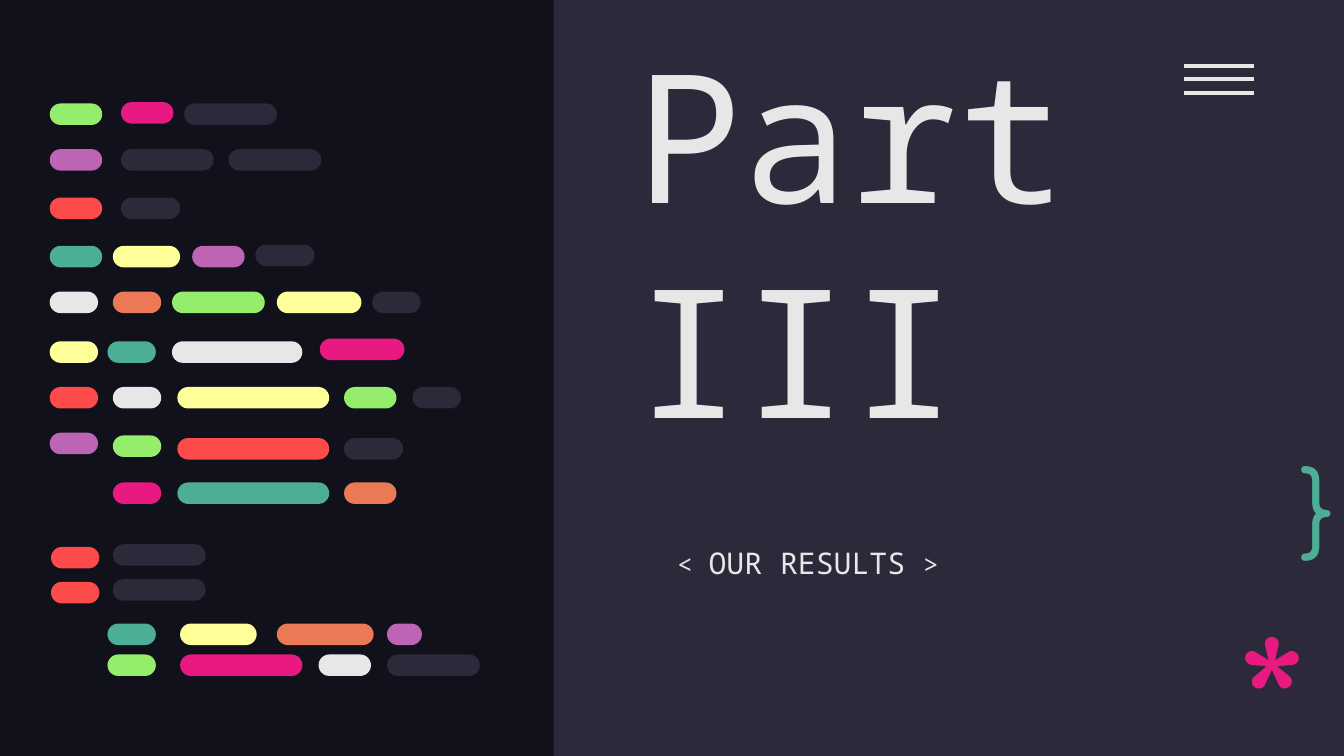
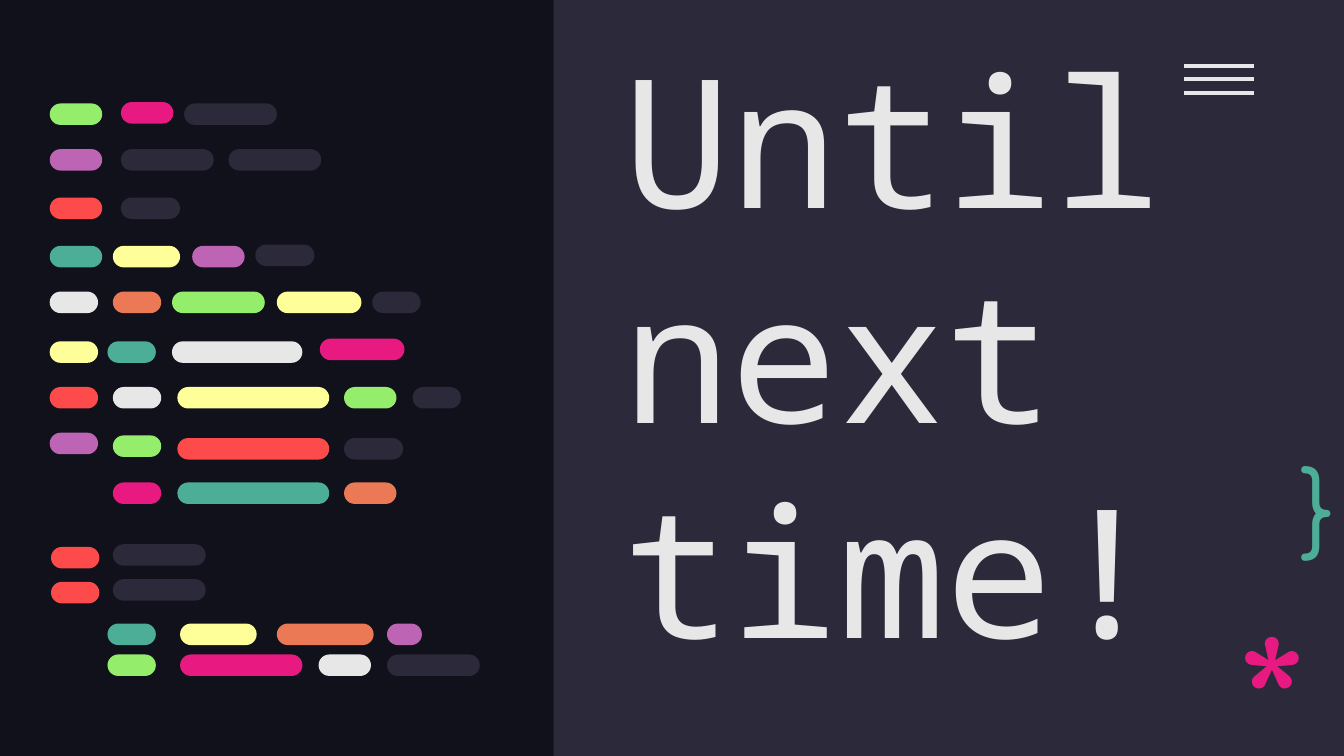
from dataclasses import dataclass

from lxml import etree
from pptx import Presentation
from pptx.dml.color import RGBColor as RGB
from pptx.enum.shapes import MSO_CONNECTOR as CONN, MSO_SHAPE as SHAPE
from pptx.enum.text import MSO_ANCHOR as ANCHOR
from pptx.oxml.ns import qn
from pptx.util import Inches, Pt


@dataclass(frozen=True)
class Theme:
    night: str = "10111A"
    panel: str = "2C293A"
    white: str = "E7E7E7"
    green: str = "94EE6B"
    pink: str = "E81A81"
    purple: str = "BD64B5"
    red: str = "FD4A4A"
    teal: str = "4CAE97"
    yellow: str = "FFFF99"
    orange: str = "EC7955"
    mono: str = "Noto Sans Mono"
    rounded: str = "Comfortaa"
    display: int = 96
    brace: int = 50
    subtitle: int = 16
    bracket: int = 14


T = Theme()

# 16:9 slide
SLIDE_W = 10
SLIDE_H = SLIDE_W * 9 / 16
PANEL_LEFT = 4.12

# Lines of the code drawing: top, then (left, width, colour) of each pill
PILL_HEIGHT = 0.16
CODE_LINES = [
    (0.77, [(0.37, 0.39, T.green), (1.37, 0.69, T.panel)]),
    (0.76, [(0.9, 0.39, T.pink)]),
    (1.11, [(0.37, 0.39, T.purple), (0.9, 0.69, T.panel), (1.7, 0.69, T.panel)]),
    (1.47, [(0.37, 0.39, T.red), (0.9, 0.44, T.panel)]),
    (1.83, [(0.37, 0.39, T.teal), (0.84, 0.5, T.yellow), (1.43, 0.39, T.purple)]),
    (1.82, [(1.9, 0.44, T.panel)]),
    (2.17, [(0.37, 0.36, T.white), (0.84, 0.36, T.orange), (1.28, 0.69, T.green),
            (2.06, 0.63, T.yellow), (2.77, 0.36, T.panel)]),
    (2.54, [(0.37, 0.36, T.yellow), (0.8, 0.36, T.teal), (1.28, 0.97, T.white)]),
    (2.52, [(2.38, 0.63, T.pink)]),
    (2.88, [(0.37, 0.36, T.red), (0.84, 0.36, T.white), (1.32, 1.13, T.yellow),
            (2.56, 0.39, T.green), (3.07, 0.36, T.panel)]),
    (3.22, [(0.37, 0.36, T.purple)]),
    (3.24, [(0.84, 0.36, T.green)]),
    (3.26, [(1.32, 1.13, T.red), (2.56, 0.44, T.panel)]),
    (3.59, [(0.84, 0.36, T.pink), (1.32, 1.13, T.teal), (2.56, 0.39, T.orange)]),
    (4.07, [(0.38, 0.36, T.red)]),
    (4.05, [(0.84, 0.69, T.panel)]),
    (4.33, [(0.38, 0.36, T.red)]),
    (4.31, [(0.84, 0.69, T.panel)]),
    (4.64, [(0.8, 0.36, T.teal), (1.34, 0.57, T.yellow), (2.06, 0.72, T.orange),
            (2.88, 0.26, T.purple)]),
    (4.87, [(0.8, 0.36, T.green), (1.34, 0.91, T.pink), (2.37, 0.39, T.white),
            (2.88, 0.69, T.panel)]),
]

# Title and its box, then the subtitle runs with their sizes
SLIDES = [
    ("Part III", (4.63, 0.9, 5.56, 2.58),
     [("< ", T.bracket), ("OUR RESULTS ", T.subtitle), (">", T.bracket)]),
    ("Until next time!", (4.54, 2.54, 5.56, 2.58), []),
]


def add_block(shapes, kind, box, color):
    sp = shapes.add_shape(kind, *map(Inches, box))
    sp.shadow.inherit = False
    sp.fill.solid()
    sp.fill.fore_color.rgb = RGB.from_string(color)
    sp.line.fill.background()
    return sp


def add_text(s, box, runs, font, color, anchor=ANCHOR.TOP):
    sp = s.shapes.add_textbox(*map(Inches, box))
    tf = sp.text_frame
    tf.word_wrap = True
    tf.vertical_anchor = anchor
    tf.margin_left = tf.margin_right = tf.margin_top = tf.margin_bottom = Inches(0.1)
    p = tf.paragraphs[0]
    p.font.name = font
    p.font.color.rgb = RGB.from_string(color)
    for text, size in runs:
        r = p.add_run()
        r.text = text
        r.font.size = Pt(size)
    return sp


prs = Presentation()
prs.slide_width, prs.slide_height = Inches(SLIDE_W), Inches(SLIDE_H)

for title, title_box, subtitle in SLIDES:
    s = prs.slides.add_slide(prs.slide_layouts[6])
    s.background.fill.solid()
    s.background.fill.fore_color.rgb = RGB.from_string(T.night)

    # Right panel and menu icon
    add_block(s.shapes, SHAPE.RECTANGLE,
              (PANEL_LEFT, 0, SLIDE_W - PANEL_LEFT, SLIDE_H), T.panel)
    menu = s.shapes.add_group_shape()
    for i in range(3):
        y = Inches(0.49 + 0.1 * i)
        bar = menu.shapes.add_connector(CONN.STRAIGHT, Inches(8.81), y, Inches(9.33), y)
        bar.line.color.rgb = RGB.from_string(T.white)
        bar.line.width = Pt(2.25)
        etree.SubElement(bar._element.spPr, qn("a:effectLst"))

    # Title and subtitle
    add_text(s, title_box, [(title, T.display)], T.mono, T.white, ANCHOR.BOTTOM)
    if subtitle:
        sp = add_text(s, (4.94, 3.91, 4.15, 1.21), subtitle, T.mono, T.white)
        sp.text_frame.paragraphs[0].line_spacing = 1.15
        sp.fill.solid()
        sp.fill.fore_color.rgb = RGB.from_string(T.panel)

    # Pink asterisk
    add_text(s, (9.11, 4.35, 0.57, 0.87), [("*", T.display)], T.rounded, T.pink)

    # Code drawing
    code = s.shapes.add_group_shape()
    for top, pills in CODE_LINES:
        for left, width, color in pills:
            pill = add_block(code.shapes, SHAPE.ROUNDED_RECTANGLE,
                             (left, top, width, PILL_HEIGHT), color)
            pill.adjustments[0] = 0.5

    # Closing brace
    add_text(s, (9.58, 3.22, 0.57, 0.95), [("}", T.brace)], T.rounded, T.teal)

prs.save("out.pptx")
